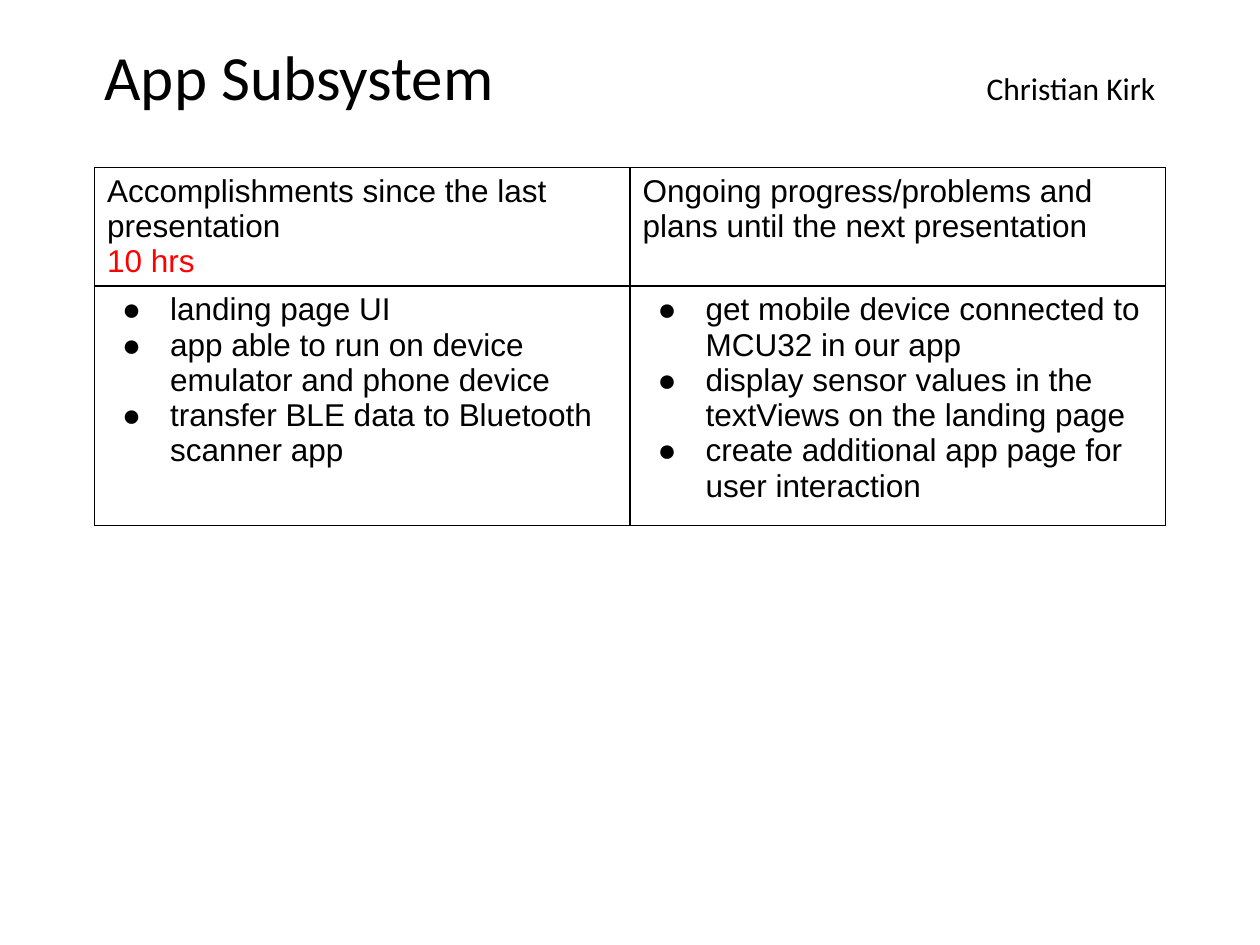
from lxml.etree import SubElement as Sub
from pptx import Presentation as Deck
from pptx.dml.color import RGBColor as RGB
from pptx.oxml import parse_xml
from pptx.oxml.ns import nsdecls, qn
from pptx.util import Inches, Pt

BLACK, RED = "000000", "FF0000"
HEADS = [
    [("Accomplishments since the last presentation", BLACK), ("10 hrs", RED)],
    [("Ongoing progress/problems and plans until the next presentation", BLACK)],
]
LISTS = [
    ["landing page UI",
     "app able to run on device emulator and phone device",
     "transfer BLE data to Bluetooth scanner app"],
    ["get mobile device connected to MCU32 in our app",
     "display sensor values in the textViews on the landing page",
     "create additional app page for user interaction"],
]


def color(code):
    return RGB.from_string(code)


class Page:
    """Hold the style and the current slide, and add its elements."""

    body, head, size = "Arial", "Calibri", 18

    def __init__(self, deck):
        self.slide = deck.slides.add_slide(deck.slide_layouts[6])

    def run(self, para, text, font, size, code=BLACK):
        run = para.add_run()
        run.text = text
        run.font.name, run.font.size = font, Pt(size)
        run.font.color.rgb = color(code)

    def title(self, name, author):
        box = self.slide.shapes.add_textbox(
            Inches(0.42), Inches(0.25), Inches(9.17), Inches(0.71))
        frame = box.text_frame
        frame.word_wrap = True
        frame.margin_left = Inches(0.41)
        para = frame.paragraphs[0]
        tabs = Sub(para._p.get_or_add_pPr(), qn("a:tabLst"))
        Sub(tabs, qn("a:tab"), pos=str(Inches(8.34)), algn="r")
        self.run(para, name, self.head, 36)
        self.run(para, "\t", self.head, 16)
        self.run(para, author, self.head, self.size)

    def bullet(self, para):
        props = para._p.get_or_add_pPr()
        props.set("marL", str(Inches(0.5)))
        props.set("indent", str(Inches(-0.38)))
        Sub(Sub(props, qn("a:buClr")), qn("a:srgbClr"), val=BLACK)
        Sub(props, qn("a:buFont"), typeface=self.body)
        Sub(props, qn("a:buChar"), char="●")

    def border(self, cell):
        props = cell._tc.get_or_add_tcPr()
        for spot, side in enumerate("LRTB"):
            props.insert(spot, parse_xml(
                f'<a:ln{side} {nsdecls("a")} w="{Pt(1)}"><a:solidFill>'
                f'<a:srgbClr val="{BLACK}"/></a:solidFill></a:ln{side}>'))

    def cell(self, cell, lines, listed):
        cell.fill.background()
        self.border(cell)
        frame = cell.text_frame
        for spot, (text, code) in enumerate(lines):
            para = frame.add_paragraph() if spot else frame.paragraphs[0]
            if listed:
                self.bullet(para)
            self.run(para, text, self.body, self.size, code)

    def table(self, rows, tall):
        grid = self.slide.shapes.add_table(
            len(rows), 2, Inches(0.75), Inches(1.33),
            Inches(8.5), Inches(sum(tall))).table
        grid.first_row = grid.horz_banding = False
        for r, row in enumerate(rows):
            grid.rows[r].height = Inches(tall[r])
            for c, lines in enumerate(row):
                self.cell(grid.cell(r, c), lines, listed=r > 0)


def main():
    deck = Deck()
    deck.slide_width, deck.slide_height = Inches(10), Inches(7.5)
    page = Page(deck)
    page.table([HEADS, [[(text, BLACK) for text in part] for part in LISTS]],
               [0.94, 1.9])
    page.title("App Subsystem", "Christian Kirk")
    deck.save("out.pptx")


if __name__ == "__main__":
    main()
